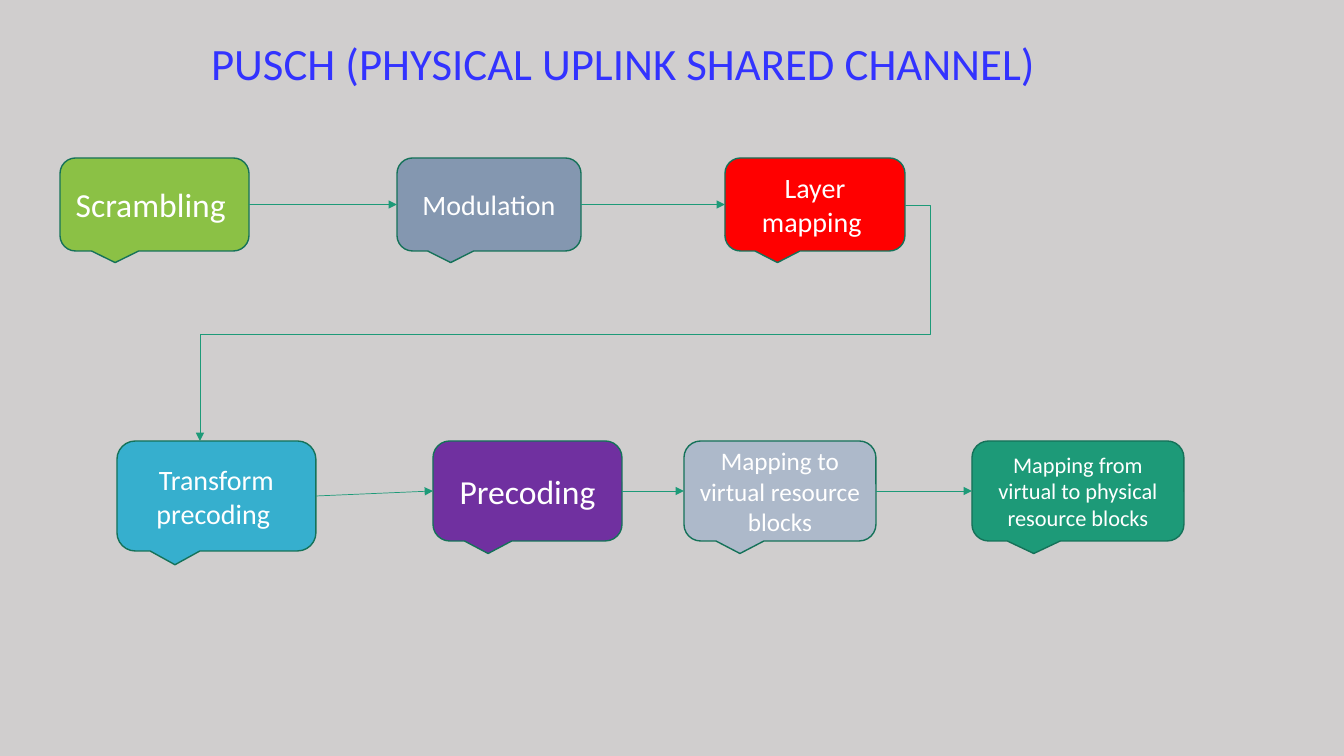
"""Build the PUSCH processing chain slide."""
from lxml import etree
from pptx import Presentation
from pptx.dml.color import RGBColor
from pptx.enum.shapes import MSO_CONNECTOR, MSO_SHAPE
from pptx.enum.text import MSO_ANCHOR, PP_ALIGN
from pptx.oxml.ns import qn
from pptx.util import Pt

SCALE = 914400 / 100.8
FONT = "Calibri"
CALLOUT = MSO_SHAPE.ROUNDED_RECTANGULAR_CALLOUT
STRAIGHT, ELBOW = MSO_CONNECTOR.STRAIGHT, MSO_CONNECTOR.ELBOW
LEFT, CENTER = PP_ALIGN.LEFT, PP_ALIGN.CENTER
TOP, MIDDLE = MSO_ANCHOR.TOP, MSO_ANCHOR.MIDDLE
LEFT_SITE, RIGHT_SITE = 1, 3

BACKGROUND = RGBColor(0xD0, 0xCE, 0xCE)
TITLE_BLUE = RGBColor(0x33, 0x33, 0xFF)
WHITE = RGBColor(0xFF, 0xFF, 0xFF)
OUTLINE = RGBColor(0x15, 0x72, 0x59)
GREEN = RGBColor(0x1D, 0x9A, 0x78)
LIME = RGBColor(0x8B, 0xC1, 0x45)
SLATE = RGBColor(0x84, 0x97, 0xB0)
RED = RGBColor(0xFF, 0x00, 0x00)
CYAN = RGBColor(0x36, 0xAF, 0xCE)
PURPLE = RGBColor(0x70, 0x30, 0xA0)
PALE_SLATE = RGBColor(0xAD, 0xB9, 0xCA)

ROWS = [
    (158, [
        ("Scrambling ", 60, 189, 93, LIME, 24),
        ("Modulation", 397, 184, 93, SLATE, 20),
        ("Layer mapping ", 725, 180, 93, RED, 20),
    ]),
    (441, [
        ("Transform precoding ", 117, 199, 110, CYAN, 20),
        ("Precoding", 433, 189, 100, PURPLE, 24),
        ("Mapping to virtual resource blocks", 684, 192, 100, PALE_SLATE, 18),
        ("Mapping from virtual to physical resource blocks", 972, 212, 100, GREEN, 16),
    ]),
]


def emu(*pixels):
    return [round(pixel * SCALE) for pixel in pixels]


def add_line(kind, ends, arrow=True):
    connector = slide.shapes.add_connector(kind, *emu(*ends))
    connector.line.color.rgb = GREEN
    connector.line.width = Pt(0.5)
    properties = connector._element.spPr
    etree.SubElement(properties, qn("a:effectLst"))
    if arrow:
        etree.SubElement(properties.find(qn("a:ln")), qn("a:tailEnd"), type="triangle")
    return connector


presentation = Presentation()
presentation.slide_width, presentation.slide_height = emu(1344, 756)
slide = presentation.slides.add_slide(presentation.slide_layouts[5])
slide.background.fill.solid()
slide.background.fill.fore_color.rgb = BACKGROUND

title = slide.shapes.title
title.left, title.top, title.width, title.height = emu(201, 31, 862, 64)
title.text_frame.text = "PUSCH (PHYSICAL UPLINK SHARED CHANNEL)"
title.text_frame.vertical_anchor = TOP
paragraph = title.text_frame.paragraphs[0]
paragraph.alignment = LEFT
paragraph.font.name = FONT
paragraph.font.size = Pt(32)
paragraph.font.color.rgb = TITLE_BLUE

for top, stages in ROWS:
    previous = None
    for text, left, width, height, color, size in stages:
        callout = slide.shapes.add_shape(CALLOUT, *emu(left, top, width, height))
        callout.shadow.inherit = False
        callout.fill.solid()
        callout.fill.fore_color.rgb = color
        callout.line.color.rgb = OUTLINE
        callout.line.width = Pt(1)
        callout.text_frame.text = text
        callout.text_frame.word_wrap = True
        callout.text_frame.vertical_anchor = MIDDLE
        paragraph = callout.text_frame.paragraphs[0]
        paragraph.alignment = CENTER
        paragraph.font.name = FONT
        paragraph.font.size = Pt(size)
        paragraph.font.color.rgb = WHITE
        if previous is not None:
            arrow = add_line(STRAIGHT, (0, 0, 0, 0))
            arrow.begin_connect(previous, RIGHT_SITE)
            arrow.end_connect(callout, LEFT_SITE)
        previous = callout

row_link = add_line(ELBOW, (905, 205, 200, 334), arrow=False)
adjustments = row_link._element.spPr.find(qn("a:prstGeom")).find(qn("a:avLst"))
etree.SubElement(adjustments, qn("a:gd"), name="adj1", fmla="val -3600")
add_line(STRAIGHT, (200, 334, 200, 441))

for arrow in slide.shapes:
    if arrow.shape_type is None:
        continue

presentation.save("out.pptx")
